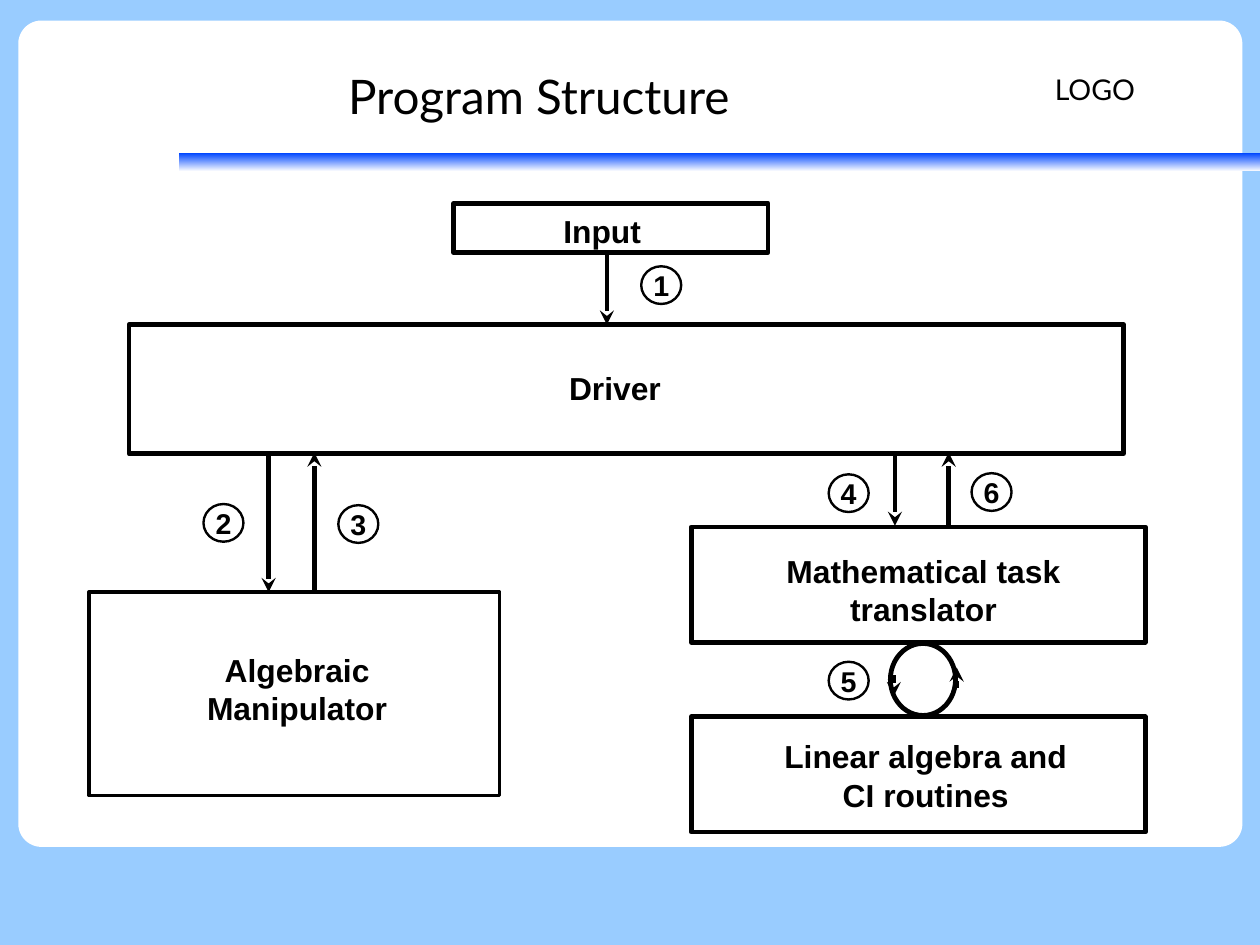
from lxml.etree import SubElement
from pptx import Presentation
from pptx.dml.color import RGBColor
from pptx.enum.shapes import MSO_CONNECTOR, MSO_SHAPE
from pptx.enum.text import MSO_ANCHOR, PP_ALIGN
from pptx.oxml.ns import qn
from pptx.util import Inches, Pt

BLACK, WHITE, BLUE, SKY = "000000", "FFFFFF", "0047FF", "99CCFF"
CM_PER_INCH = 2.54


def color(target, value):
    """Fill a solid area, or set a font colour, from a hex string."""
    if hasattr(target, "solid"):
        target.solid()
        target = target.fore_color
    target.rgb = RGBColor.from_string(value)


def write(shape, text, size=20, font="Arial", bold=True, align=PP_ALIGN.CENTER,
          anchor=MSO_ANCHOR.TOP, margins=(0.1, 0.05), wrap=True):
    frame = shape.text_frame
    frame.word_wrap = wrap
    frame.vertical_anchor = anchor
    frame.margin_left = frame.margin_right = Inches(margins[0])
    frame.margin_top = frame.margin_bottom = Inches(margins[1])
    paragraph = frame.paragraphs[0]
    paragraph.alignment = align
    run = paragraph.add_run()
    run.text = text
    run.font.name, run.font.size, run.font.bold = font, Pt(size), bold
    color(run.font.color, BLACK)


# The slide measures 28 by 21 cm
presentation = Presentation()
presentation.slide_width = Inches(28 / CM_PER_INCH)
presentation.slide_height = Inches(21 / CM_PER_INCH)
slide = presentation.slides.add_slide(presentation.slide_layouts[6])
color(slide.background.fill, SKY)
shapes = slide.shapes

# White panel, heading and gradient rule
panel = shapes.add_shape(MSO_SHAPE.ROUNDED_RECTANGLE, Inches(0.16), Inches(0.18),
                         Inches(10.71), Inches(7.23))
panel.adjustments[0] = 0.028
color(panel.fill, WHITE)
heading_rule = shapes.add_shape(MSO_SHAPE.RECTANGLE, Inches(1.57), Inches(1.34),
                                Inches(9.45), Inches(0.16))
heading_rule.fill.gradient()
heading_rule.fill.gradient_angle = 90
for stop, value in zip(heading_rule.fill.gradient_stops, (WHITE, BLUE)):
    color(stop.color, value)
for shape in (panel, heading_rule):
    shape.shadow.inherit = False
    shape.line.fill.background()

logo = shapes.add_textbox(Inches(9.13), Inches(0.31), Inches(1.73), Inches(0.94))
write(logo, "LOGO", size=18, font="Lato", bold=False, align=PP_ALIGN.LEFT,
      anchor=MSO_ANCHOR.MIDDLE, wrap=False)
title = shapes.add_textbox(Inches(0.55), Inches(0.33), Inches(8.33), Inches(1.01))
write(title, "Program Structure", size=30, font="Lato", bold=False,
      anchor=MSO_ANCHOR.MIDDLE, margins=(0, 0))

# Outlines: kind, left, top, width, height, line width, number
outlines = [
    (MSO_SHAPE.RECTANGLE, 3.97, 1.78, 2.75, 0.43, 3, ""),
    (MSO_SHAPE.RECTANGLE, 1.13, 2.84, 8.7, 1.13, 3, ""),
    (MSO_SHAPE.RECTANGLE, 0.78, 5.18, 3.59, 1.78, 2.3, ""),
    (MSO_SHAPE.RECTANGLE, 6.05, 4.61, 3.97, 1.01, 3, ""),
    (MSO_SHAPE.RECTANGLE, 6.05, 6.27, 3.97, 1.01, 3, ""),
    (MSO_SHAPE.OVAL, 7.79, 5.63, 0.57, 0.63, 3, ""),
]
step_places = [(5.61, 2.33), (1.78, 4.41), (2.96, 4.42),
               (7.25, 4.15), (7.25, 5.79), (8.5, 4.14)]
for number, (left, top) in enumerate(step_places, start=1):
    outlines.append((MSO_SHAPE.OVAL, left, top, 0.35, 0.33, 1.5, str(number)))

for kind, left, top, width, height, line_width, number in outlines:
    outline = shapes.add_shape(kind, Inches(left), Inches(top), Inches(width), Inches(height))
    outline.shadow.inherit = False
    outline.fill.background()
    color(outline.line.fill, BLACK)
    outline.line.width = Pt(line_width)
    if number:
        write(outline, number, size=18, anchor=MSO_ANCHOR.MIDDLE, margins=(0, 0), wrap=False)

# Module names
for text, left, top, width, height, align in [
    ("Input", 4.83, 1.8, 1.08, 0.41, PP_ALIGN.LEFT),
    ("Driver", 4.88, 3.18, 1.08, 0.41, PP_ALIGN.LEFT),
    ("Algebraic Manipulator", 1.68, 5.64, 1.84, 0.78, PP_ALIGN.CENTER),
    ("Mathematical task translator", 6.66, 4.78, 2.84, 0.72, PP_ALIGN.CENTER),
    ("Linear algebra and CI routines", 6.68, 6.4, 2.84, 0.72, PP_ALIGN.CENTER),
]:
    label = shapes.add_textbox(Inches(left), Inches(top), Inches(width), Inches(height))
    write(label, text, align=align)

# Vertical arrows: x, start y, end y
for x, start, end in [
    (5.31, 2.21, 2.84),
    (2.35, 3.97, 5.18), (2.75, 5.17, 3.96),
    (7.83, 3.97, 4.6), (8.3, 4.59, 3.96),
    (7.82, 5.91, 6.09), (8.37, 6.02, 5.84),
]:
    arrow = shapes.add_connector(MSO_CONNECTOR.STRAIGHT, Inches(x), Inches(start),
                                 Inches(x), Inches(end))
    color(arrow.line.fill, BLACK)
    arrow.line.width = Pt(3)
    SubElement(arrow.line._get_or_add_ln(), qn("a:tailEnd"), type="stealth")
    SubElement(arrow._element.spPr, qn("a:effectLst"))

presentation.save("out.pptx")
